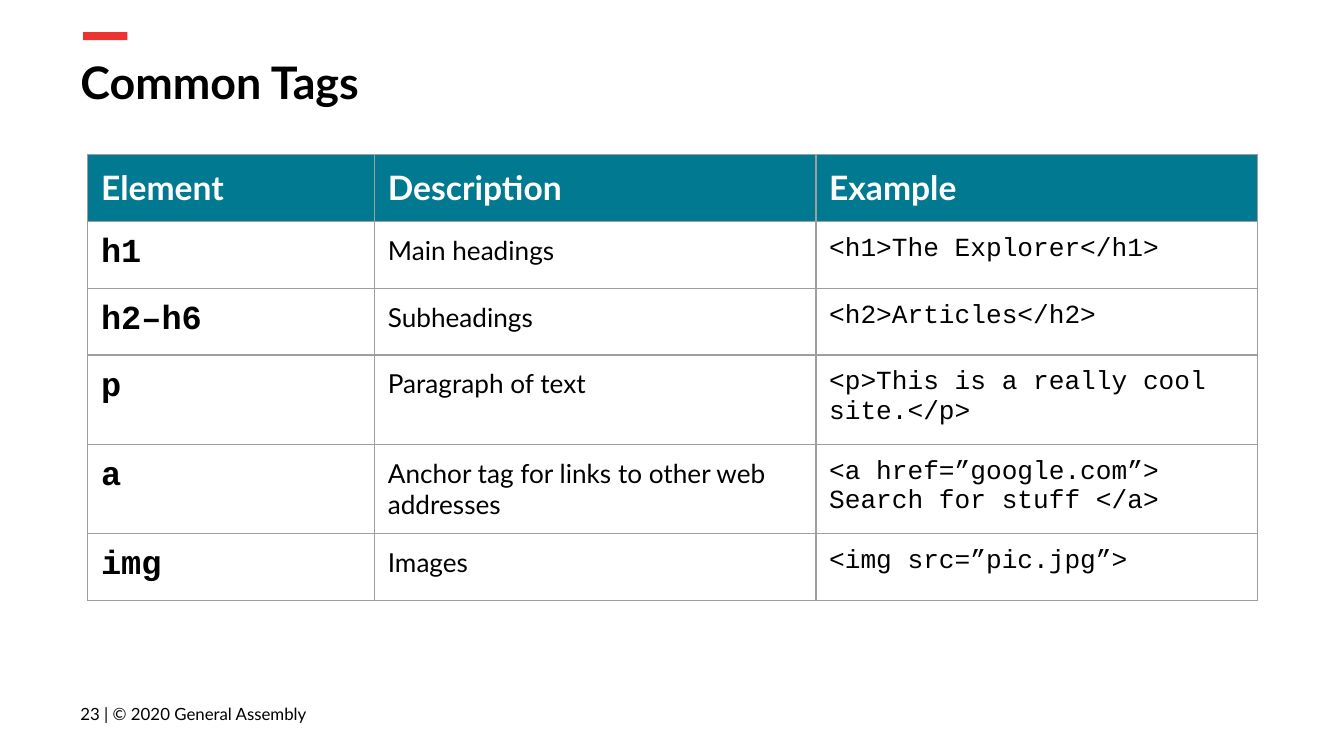
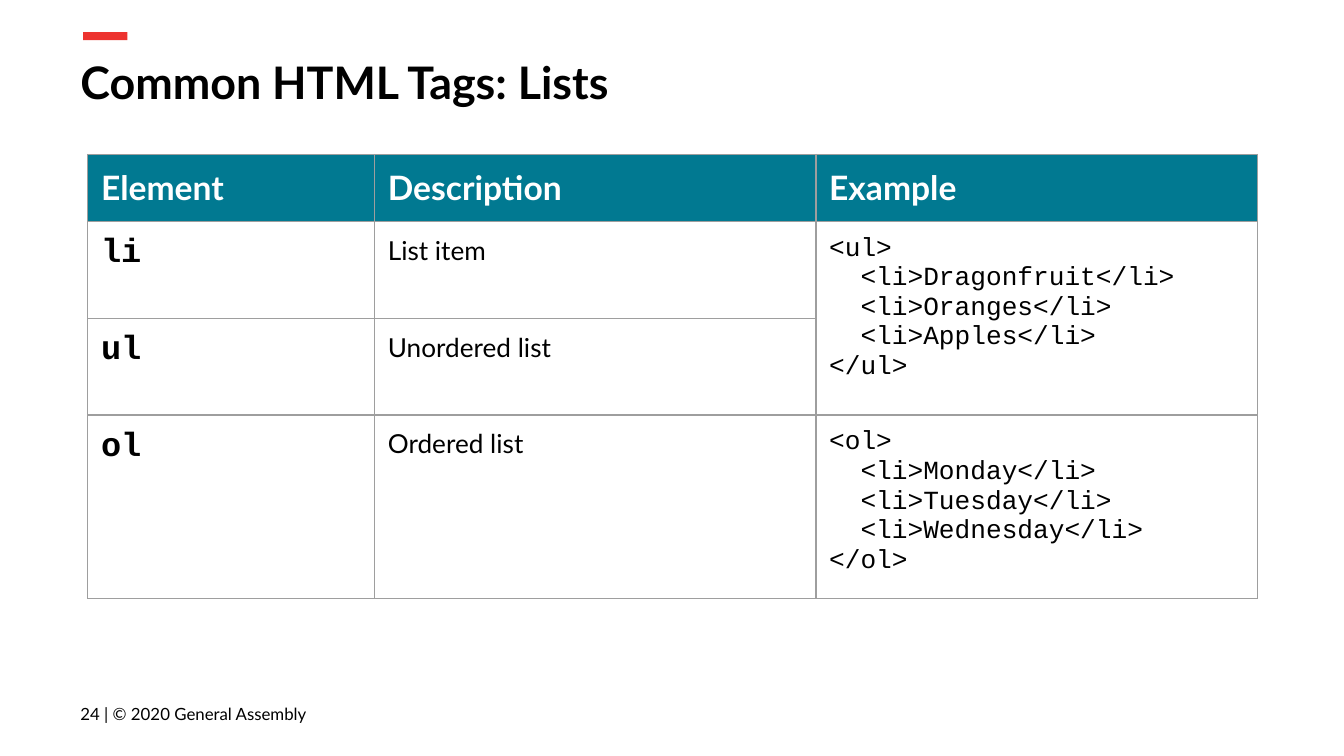
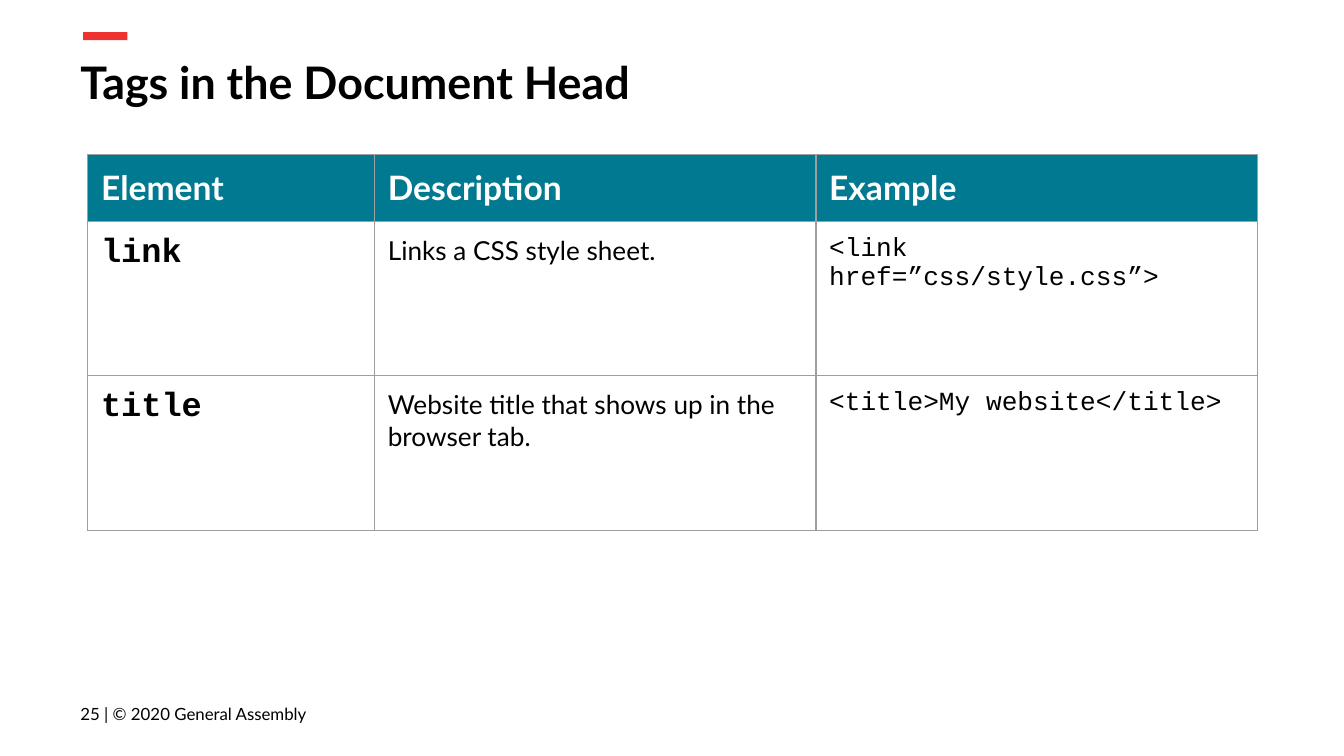
import lxml.etree
import pptx
import pptx.dml.color
import pptx.enum.shapes
import pptx.enum.text
import pptx.oxml.ns
import pptx.util

Cm = pptx.util.Cm
Pt = pptx.util.Pt
qn = pptx.oxml.ns.qn

COLORS = {
    "accent": "ED332F",
    "header": "017991",
    "border": "9E9E9E",
    "paper": "FFFFFF",
    "ink": "000000",
}
SANS = "Lato"
CODE = "Courier New"
INSET = Cm(0.25)

BAR_BOX = (1.57, 0.61, 0.84, 0.15)
TITLE_BOX = (1.27, 0.79, 23.67, 1.6)
FOOTER_BOX = (1.27, 12.95, 6.58, 1.09)
TABLE_ORIGIN = (1.66, 2.92)
COLUMN_WIDTHS = (5.42, 8.34, 8.34)
HEADINGS = ("Element", "Description", "Example")
HEADER_STYLE = (SANS, 18, True, "paper")
COLUMN_STYLES = (
    (CODE, 18, True, "ink"),
    (SANS, 14, False, "ink"),
    (CODE, 14, False, "ink"),
)
HEADER_HEIGHT = 1.07

FIRST_PAGE = 23
PAGES = [
    {
        "title": "Common Tags",
        "heights": [1.07] * 5,
        "rows": [
            ("h1", "Main headings", "<h1>The Explorer</h1>"),
            ("h2–h6", "Subheadings", "<h2>Articles</h2>"),
            ("p", "Paragraph of text", "<p>This is a really cool site.</p>"),
            ("a", "Anchor tag for links to other web addresses",
             "<a href=”google.com”> Search for stuff </a>"),
            ("img", "Images", "<img src=”pic.jpg”>"),
        ],
    },
    {
        "title": "Common HTML Tags: Lists",
        "heights": [1.83, 1.83, 2.24],
        "rows": [
            ("li", "List item",
             "<ul>\n  <li>Dragonfruit</li>\n  <li>Oranges</li>\n  <li>Apples</li>\n</ul>"),
            ("ul", "Unordered list", None),
            ("ol", "Ordered list",
             "<ol>\n  <li>Monday</li>\n  <li>Tuesday</li>\n  <li>Wednesday</li>\n</ol>"),
        ],
    },
    {
        "title": "Tags in the Document Head",
        "heights": [2.92, 2.92],
        "rows": [
            ("link", "Links a CSS style sheet.", "<link href=”css/style.css”>"),
            ("title", "Website title that shows up in the browser tab.",
             "<title>My website</title>"),
        ],
    },
]


def rgb(name):
    return pptx.dml.color.RGBColor.from_string(COLORS[name])


def write(holder, text, style):
    font_name, size, bold, color = style
    holder.margin_left = holder.margin_right = INSET
    holder.margin_top = holder.margin_bottom = INSET
    holder.text_frame.text = text
    for para in holder.text_frame.paragraphs:
        for span in para.runs:
            span.font.name = font_name
            span.font.size = Pt(size)
            span.font.bold = bold
            span.font.color.rgb = rgb(color)


def add_text(page, box, text, style, anchor):
    shape = page.shapes.add_textbox(*map(Cm, box))
    frame = shape.text_frame
    frame.word_wrap = True
    frame.vertical_anchor = anchor
    frame.margin_left = frame.margin_right = INSET
    frame.margin_top = frame.margin_bottom = INSET
    frame.text = text
    font = frame.paragraphs[0].runs[0].font
    font.name, size, font.bold, color = style
    font.size = Pt(size)
    font.color.rgb = rgb(color)


def add_accent_bar(page, box):
    bar = page.shapes.add_shape(pptx.enum.shapes.MSO_SHAPE.RECTANGLE, *map(Cm, box))
    bar.shadow.inherit = False
    bar.fill.solid()
    bar.fill.fore_color.rgb = rgb("accent")
    bar.line.fill.background()


def style_cell(cell, fill, opacity=None):
    cell.fill.solid()
    cell.fill.fore_color.rgb = rgb(fill)
    properties = cell._tc.get_or_add_tcPr()
    if opacity:
        color = properties.find(qn("a:solidFill")).find(qn("a:srgbClr"))
        lxml.etree.SubElement(color, qn("a:alpha"), val=str(opacity * 1000))
    for position, side in enumerate(("a:lnL", "a:lnR", "a:lnT", "a:lnB")):
        line = lxml.etree.Element(qn(side), w=str(Pt(0.75)))
        solid = lxml.etree.SubElement(line, qn("a:solidFill"))
        lxml.etree.SubElement(solid, qn("a:srgbClr"), val=COLORS["border"])
        properties.insert(position, line)


def add_tag_table(page, origin, rows, heights):
    left, top = origin
    heights = [HEADER_HEIGHT, *heights]
    table = page.shapes.add_table(
        len(heights), len(COLUMN_WIDTHS), Cm(left), Cm(top),
        Cm(sum(COLUMN_WIDTHS)), Cm(sum(heights)),
    ).table
    table.first_row = table.horz_banding = False
    for column, width in zip(table.columns, COLUMN_WIDTHS):
        column.width = Cm(width)
    for row, height in zip(table.rows, heights):
        row.height = Cm(height)
    for column_index, heading in enumerate(HEADINGS):
        cell = table.cell(0, column_index)
        style_cell(cell, "header")
        write(cell, heading, HEADER_STYLE)
    for row_index, row in enumerate(rows, 1):
        for column_index, text in enumerate(row):
            cell = table.cell(row_index, column_index)
            style_cell(cell, "paper", 51)
            if text is None:
                table.cell(row_index - 1, column_index).merge(cell)
            else:
                write(cell, text, COLUMN_STYLES[column_index])


def add_tag_page(deck, number, content):
    page = deck.slides.add_slide(deck.slide_layouts[6])
    page.background.fill.solid()
    page.background.fill.fore_color.rgb = rgb("paper")
    anchors = pptx.enum.text.MSO_ANCHOR
    add_accent_bar(page, BAR_BOX)
    add_text(page, FOOTER_BOX, f"{number} | © 2020 General Assembly",
             (SANS, 9, False, "ink"), anchors.MIDDLE)
    add_text(page, TITLE_BOX, content["title"], (SANS, 24, True, "ink"), anchors.TOP)
    add_tag_table(page, TABLE_ORIGIN, content["rows"], content["heights"])


def main():
    deck = pptx.Presentation()
    deck.slide_width = Cm(25.4)
    deck.slide_height = Cm(14.29)
    for number, content in enumerate(PAGES, FIRST_PAGE):
        add_tag_page(deck, number, content)
    deck.save("out.pptx")


if __name__ == "__main__":
    main()
